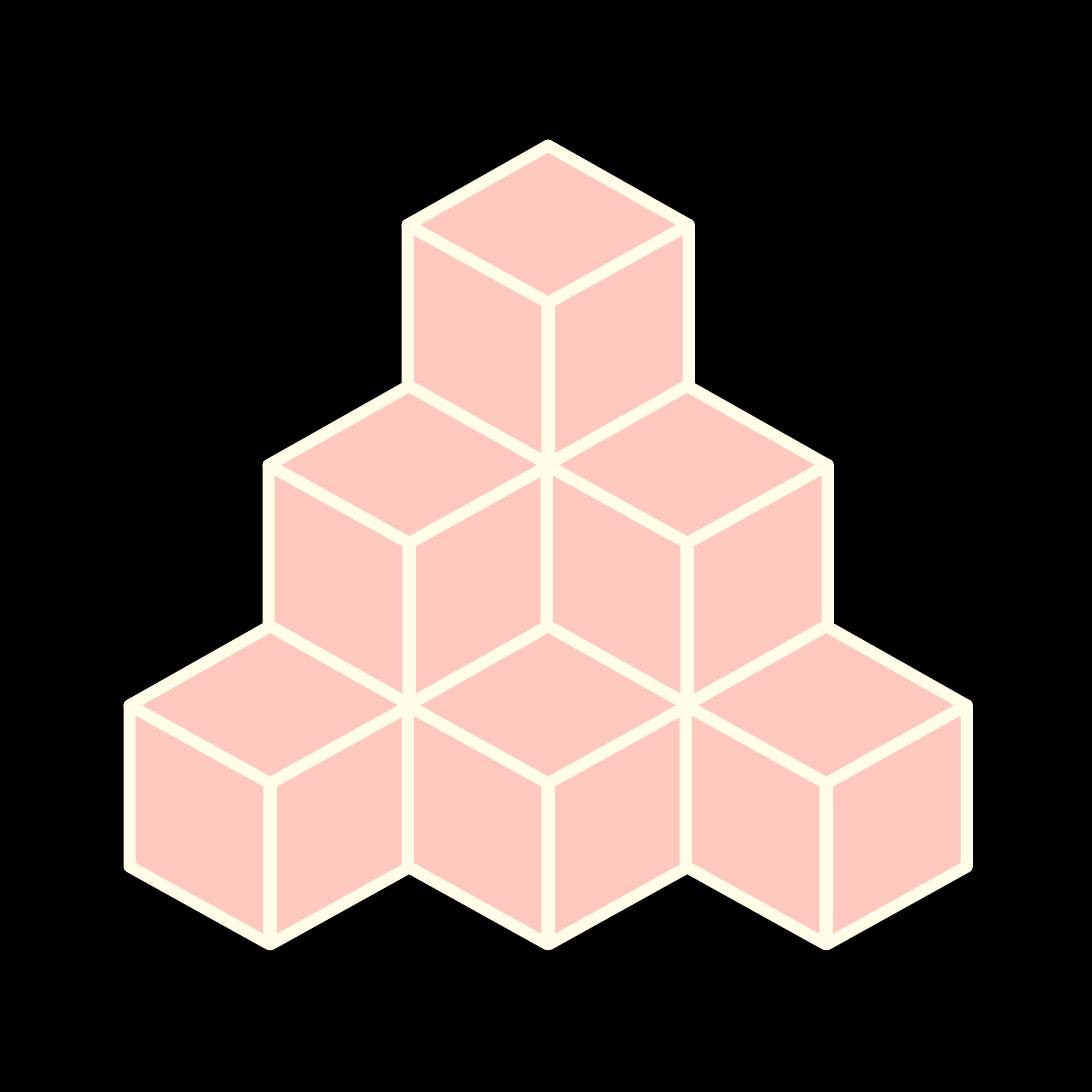
from pptx import Presentation
from pptx.dml.color import RGBColor
from pptx.enum.shapes import MSO_SHAPE
from pptx.util import Inches, Pt

COLORS = {"background": "000000", "face": "FFC8BE", "edge": "FFFDE7"}
SLIDE_INCHES = 7.5
GRID = 75  # columns and rows across the square slide

TOP_WIDTH, TOP_HEIGHT = 19.3, 10.9
SIDE_LENGTH, SIDE_WIDTH = 16.4, 9.6
SIDE_SLANT = 0.555
SIDE_OFFSET_X, SIDE_OFFSET_Y = 4.85, 13.65  # side centre from the cube's apex

APEX_X, APEX_Y = 37.65, 10
CUBE_PITCH, ROW_PITCH = 19.1, 16.5
ROW_COUNT = 3


class CubePage:
    """Hold the style, the current slide and the group of cubes."""

    def __init__(self, deck):
        """Add a blank slide with a plain background."""
        self.cell = Inches(SLIDE_INCHES) / GRID
        self.page = deck.slides.add_slide(deck.slide_layouts[6])
        background = self.page.background.fill
        background.solid()
        background.fore_color.rgb = RGBColor.from_string(COLORS["background"])
        self.group = self.page.shapes.add_group_shape()

    def face(self, preset, center_x, center_y, width, height):
        """Draw one outlined face around its centre, in grid units."""
        bounds = (center_x - width / 2, center_y - height / 2, width, height)
        shape = self.group.shapes.add_shape(
            preset, *(round(value * self.cell) for value in bounds))
        shape.shadow.inherit = False
        shape.fill.solid()
        shape.fill.fore_color.rgb = RGBColor.from_string(COLORS["face"])
        shape.line.color.rgb = RGBColor.from_string(COLORS["edge"])
        shape.line.width = Pt(6)
        return shape

    def side(self, center_x, center_y, rotation, mirrored):
        """Draw an upright side face, mirrored for the right-hand one."""
        shape = self.face(MSO_SHAPE.PARALLELOGRAM, center_x, center_y,
                          SIDE_LENGTH, SIDE_WIDTH)
        shape.adjustments[0] = SIDE_SLANT
        shape.rotation = rotation
        if mirrored:
            shape.element.spPr.xfrm.set("flipV", "1")

    def cube(self, apex_x, apex_y):
        """Draw the top, right and left faces of a cube below its apex."""
        self.face(MSO_SHAPE.DIAMOND, apex_x, apex_y + TOP_HEIGHT / 2,
                  TOP_WIDTH, TOP_HEIGHT)
        side_y = apex_y + SIDE_OFFSET_Y
        self.side(apex_x + SIDE_OFFSET_X, side_y, 270, mirrored=True)
        self.side(apex_x - SIDE_OFFSET_X, side_y, 90, mirrored=False)


def main():
    """Build the pyramid of cubes and save the deck."""
    deck = Presentation()
    deck.slide_width = deck.slide_height = Inches(SLIDE_INCHES)
    pyramid = CubePage(deck)
    for row in range(ROW_COUNT):
        for position in range(row + 1):
            pyramid.cube(APEX_X + (position - row / 2) * CUBE_PITCH,
                         APEX_Y + row * ROW_PITCH)
    deck.save("out.pptx")


main()
